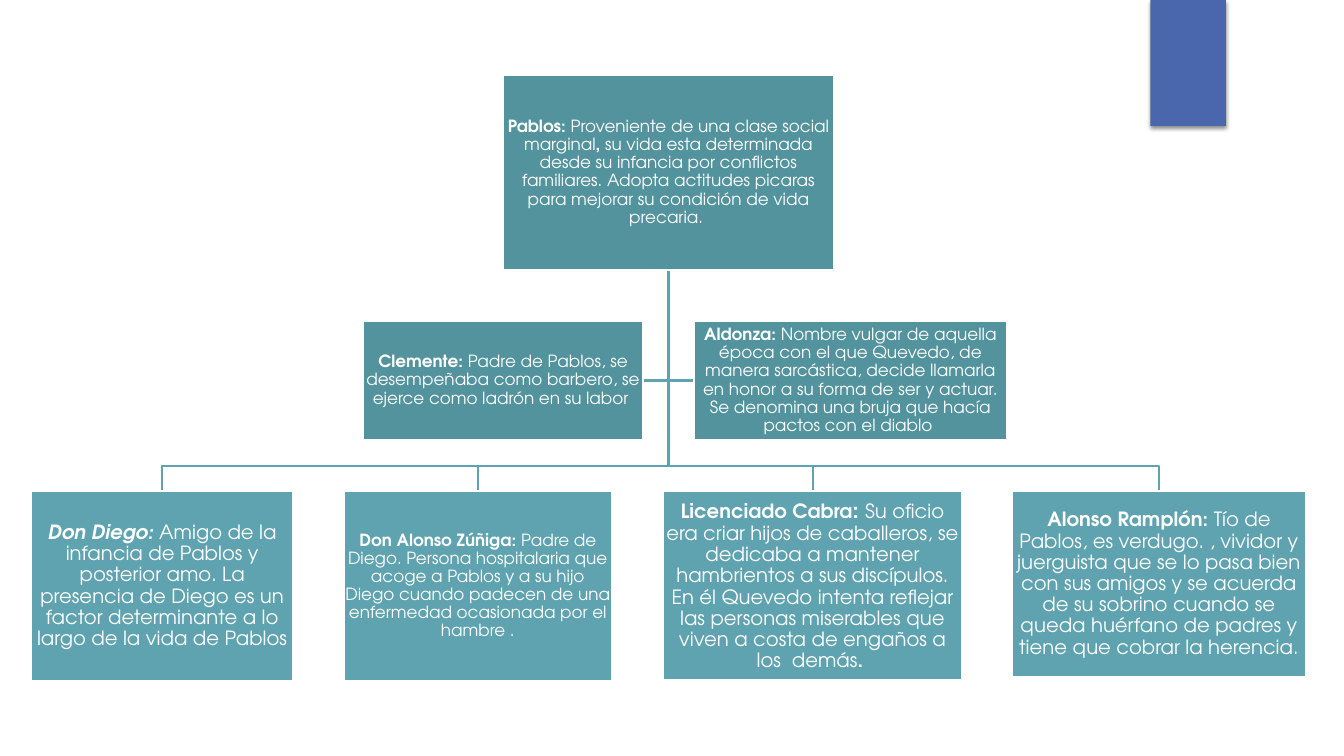
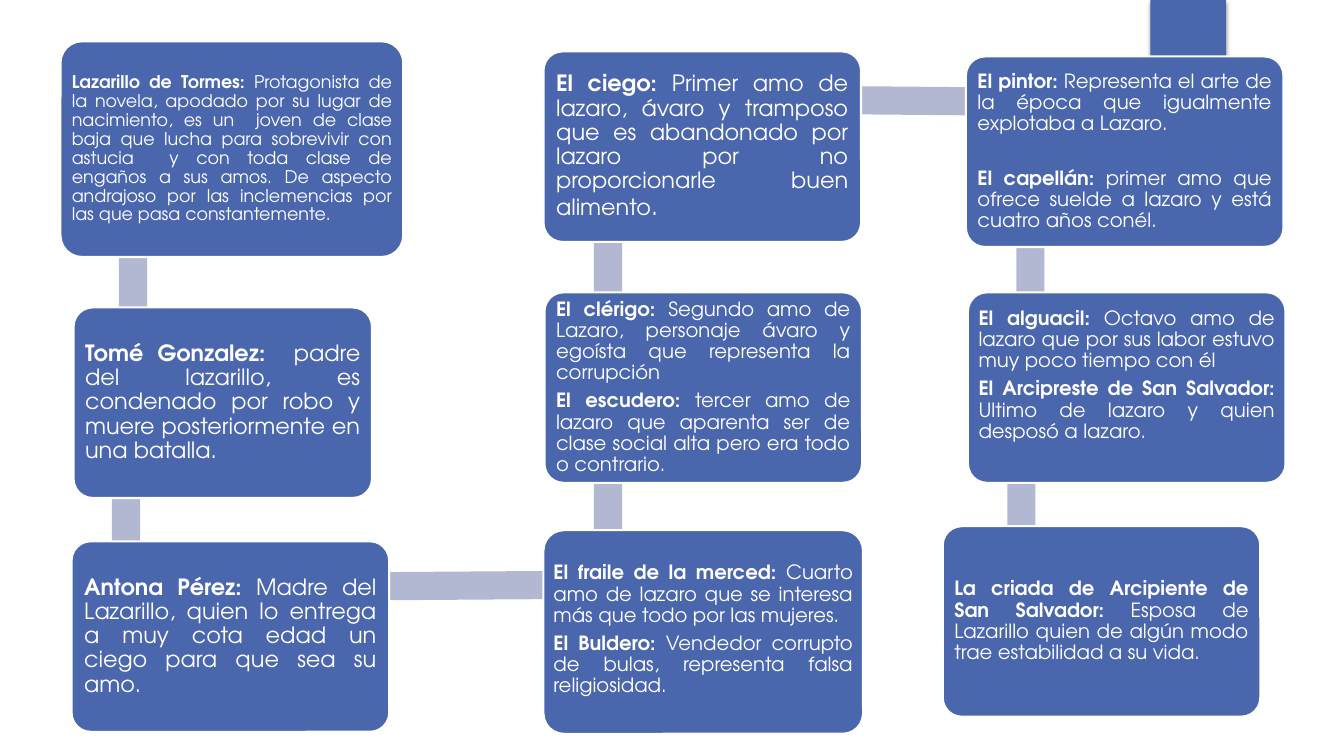
from pptx import Presentation
from pptx.dml.color import RGBColor
from pptx.enum.shapes import MSO_SHAPE
from pptx.enum.text import MSO_ANCHOR, PP_ALIGN
from pptx.oxml import parse_xml
from pptx.oxml.ns import nsdecls, qn
from pptx.util import Inches, Pt

COLORS = {
    "band": "4A66AC",
    "parent": "52939E",
    "child": "5EA3AF",
    "link": "B2B8D2",
    "white": "FFFFFF",
}
FONT = "TeX Gyre Adventor"
BAND = (11.41, 0, 0.75, 1.25)
BUS_Y = 4.62
LINK_WIDTH = 0.28

# Runs alternate between bold and regular, starting with bold.
# A run given as a pair carries its own format values.
TREE = {
    "Pablos": ((4.99, 0.74, 3.28, 1.94), "parent", 12, [
        "Pablos: ", "Proveniente de una clase social marginal", ", ",
        "su vida esta determinada desde su infancia por conflictos familiares. "
        "Adopta actitudes picaras para mejorar su condición de vida precaria. "]),
    "Clemente": ((3.6, 3.18, 2.78, 1.19), "parent", 12, [
        "Clemente: ", "Padre de Pablos, se desempeñaba como barbero, "
        "se ejerce como ladrón en su labor "]),
    "Aldonza": ((6.88, 3.18, 3.11, 1.19), "parent", 12, [
        "Aldonza: ", "Nombre vulgar de aquella época con el que Quevedo, de manera "
        "sarcástica, decide llamarla en honor a su forma de ser y actuar. "
        "Se denomina una bruja que hacía pactos con el diablo "]),
    "Don Diego": ((0.31, 4.87, 2.6, 1.89), "child", 14, [
        ("Don Diego: ", {"italic": True}),
        "Amigo de la infancia de Pablos y posterior amo. La presencia de Diego "
        "es un factor determinante a lo largo de la vida de Pablos"]),
    "Don Alonso": ((3.41, 4.87, 2.66, 1.89), "child", 12, [
        "Don Alonso Zúñiga: ", "Padre de Diego. Persona hospitalaria que acoge a "
        "Pablos y a su hijo Diego cuando padecen de una enfermedad ocasionada "
        "por el hambre ."]),
    "Cabra": ((6.58, 4.87, 2.96, 1.88), "child", 14, [
        "Licenciado Cabra", (": ", {"bold": True, "size": Pt(16)}),
        ("Su oficio era criar hijos de caballeros, se dedicaba a mantener "
         "hambrientos a sus discípulos. En él Quevedo intenta reflejar las "
         "personas miserables que viven a costa de engaños a los  demás",
         {"bold": False}),
        (". ", {"bold": True})]),
    "Ramplón": ((10.04, 4.87, 2.91, 1.85), "child", 14, [
        "Alonso Ramplón: ", "Tío de Pablos, es verdugo. , vividor y juerguista que "
        "se lo pasa bien con sus amigos y se acuerda de su sobrino cuando se "
        "queda huérfano de padres y tiene que cobrar la herencia."]),
}

# Each card: box, text size, inset, paragraphs and optional spacing.
CARDS = {
    "Lazarillo": ((0.6, 0.41, 3.4, 2.14), 12.5, 0.05, [
        ["Lazarillo de Tormes: ", "Protagonista de la novela, apodado por su lugar "
         "de nacimiento, es un  joven de clase baja que lucha para sobrevivir con "
         "astucia  y con toda clase de engaños a sus amos. De aspecto andrajoso "
         "por las inclemencias por las que pasa constantemente."]], {}),
    "Tomé": ((0.73, 3.05, 2.96, 1.89), 16, 0.06, [
        ["Tomé Gonzalez: ", " padre del lazarillo, es condenado por robo y muere "
         "posteriormente en una batalla."]], {}),
    "Antona": ((0.71, 5.37, 3.15, 1.89), 16, 0.07, [
        ["Antona Pérez: ", "Madre del Lazarillo, quien lo entrega a muy cota edad "
         "un ciego para que sea su amo."]], {}),
    "Fraile": ((5.39, 5.26, 3.17, 2.02), 14, 0.04, [
        ["El fraile de la merced: ", "Cuarto amo de lazaro que se interesa más que "
         "todo por las mujeres."],
        ["El Buldero: ", "Vendedor corrupto de bulas, representa falsa "
         "religiosidad."]], {"extra_bottom": 0.04}),
    "Clérigo": ((5.4, 2.9, 3.15, 1.89), 14, 0.06, [
        ["El clérigo: ", "Segundo amo de Lazaro, personaje ávaro y egoísta que "
         "representa la corrupción"],
        ["El escudero: ", "tercer amo de lazaro que aparenta ser de clase social "
         "alta pero era todo o contrario."]], {}),
    "Ciego": ((5.39, 0.51, 3.15, 1.89), 16, 0.07, [
        ["El ciego: ", "Primer amo de lazaro, ávaro y tramposo que es abandonado "
         "por lazaro por no proporcionarle buen alimento",
         (". ", {"bold": False, "size": Pt(18)})]], {}),
    "Pintor": ((9.58, 0.56, 3.15, 1.89), 14, 0.06, [
        ["El pintor: ", "Representa el arte de la época que igualmente explotaba "
         "a Lazaro."],
        ["El capellán: ", "primer amo que ofrece suelde a lazaro y está cuatro "
         "años conél."]], {"gap": 24}),
    "Alguacil": ((9.6, 2.9, 3.15, 1.89), 14, 0.05, [
        ["El alguacil:", " Octavo amo de lazaro que por sus labor estuvo muy poco "
         "tiempo con él"],
        ["El Arcipreste de San Salvador: ", "Ultimo de lazaro y quien desposó a "
         "lazaro."]], {"extra_bottom": 0.24}),
    "Criada": ((9.35, 5.22, 3.15, 1.89), 14, 0.06, [
        ["La criada de Arcipiente de San Salvador: ", "Esposa de Lazarillo quien "
         "de algún modo trae estabilidad a su vida."]], {}),
}

# Left edge of each upright link; top edge and tilt of each level link.
UPRIGHT_LINKS = [
    ("Lazarillo", "Tomé", 1.18), ("Tomé", "Antona", 1.11),
    ("Clérigo", "Fraile", 5.89), ("Ciego", "Clérigo", 5.89),
    ("Pintor", "Alguacil", 10.08), ("Alguacil", "Criada", 9.99),
]
LEVEL_LINKS = [("Antona", "Fraile", 5.67, -0.4), ("Ciego", "Pintor", 0.86, 0.5)]


def color(name):
    return RGBColor.from_string(COLORS[name])


def add_box(slide, preset, box, fill, outlined=False):
    shape = slide.shapes.add_shape(preset, *(Inches(value) for value in box))
    shape.shadow.inherit = False
    shape.fill.solid()
    shape.fill.fore_color.rgb = color(fill)
    if outlined:
        shape.line.color.rgb = color("white")
        shape.line.width = Pt(1.5)
    else:
        shape.line.fill.background()
    return shape


def add_band(slide):
    band = add_box(slide, MSO_SHAPE.RECTANGLE, BAND, "band")
    effects = band._element.spPr.find(qn("a:effectLst"))
    effects.append(parse_xml(
        f'<a:outerShdw {nsdecls("a")} blurRad="38100" dist="25400" dir="5400000">'
        '<a:srgbClr val="000000"><a:alpha val="45000"/></a:srgbClr></a:outerShdw>'))


def write_text(shape, paragraphs, size, align, inset, gap=None, extra_bottom=0):
    """Fill the shape; gap is the space in points between paragraphs."""
    frame = shape.text_frame
    frame.word_wrap = True
    frame.vertical_anchor = MSO_ANCHOR.MIDDLE
    for side in ("left", "top", "right", "bottom"):
        setattr(frame, f"margin_{side}", Inches(inset))
    frame.margin_bottom = Inches(inset + extra_bottom)
    for number, runs in enumerate(paragraphs):
        paragraph = frame.add_paragraph() if number else frame.paragraphs[0]
        last = number == len(paragraphs) - 1
        space = gap if gap and not last else 0.35 * size
        layout = {"alignment": align, "line_spacing": 0.9, "space_after": Pt(space)}
        for name, value in layout.items():
            setattr(paragraph, name, value)
        for index, item in enumerate(runs):
            text, changes = (item, {}) if isinstance(item, str) else item
            run = paragraph.add_run()
            run.text = text
            values = {"name": FONT, "size": Pt(size), "bold": index % 2 == 0, **changes}
            for name, value in values.items():
                setattr(run.font, name, value)
            run.font.color.rgb = color("white")


def add_branch(slide, points):
    """Draw one open bent line through the points."""
    start, *others = [(Inches(x), Inches(y)) for x, y in points]
    builder = slide.shapes.build_freeform(*start)
    builder.add_line_segments(others, close=False)
    branch = builder.convert_to_shape()
    branch.shadow.inherit = False
    branch.fill.background()
    branch.line.color.rgb = color("child")
    branch.line.width = Pt(1.5)


def center(box):
    left, top, width, height = box
    return left + width / 2, top + height / 2


def build_family_tree(slide):
    root_box = TREE["Pablos"][0]
    trunk_x = center(root_box)[0]
    trunk_top = (trunk_x, root_box[1] + root_box[3])
    for name, (box, fill, *_) in TREE.items():
        x, y = center(box)
        if fill == "child":
            add_branch(slide, [trunk_top, (trunk_x, BUS_Y), (x, BUS_Y), (x, box[1])])
        elif name != "Pablos":
            edge = box[0] if x > trunk_x else box[0] + box[2]
            add_branch(slide, [trunk_top, (trunk_x, y), (edge, y)])
    for box, fill, size, runs in TREE.values():
        shape = add_box(slide, MSO_SHAPE.RECTANGLE, box, fill, outlined=True)
        write_text(shape, [runs], size, PP_ALIGN.CENTER, 0.01)


def build_card_chain(slide):
    """Links run between card centres, so the cards drawn later hide their ends."""
    for first, second, left in UPRIGHT_LINKS:
        top, bottom = (center(CARDS[name][0])[1] for name in (first, second))
        add_box(slide, MSO_SHAPE.RECTANGLE, (left, top, LINK_WIDTH, bottom - top), "link")
    for first, second, top, tilt in LEVEL_LINKS:
        left, right = (center(CARDS[name][0])[0] for name in (first, second))
        link = add_box(slide, MSO_SHAPE.RECTANGLE,
                       (left, top, right - left, LINK_WIDTH), "link")
        link.rotation = tilt
    for box, size, inset, paragraphs, spacing in CARDS.values():
        card = add_box(slide, MSO_SHAPE.ROUNDED_RECTANGLE, box, "band", outlined=True)
        card.adjustments[0] = 0.1
        write_text(card, paragraphs, size, PP_ALIGN.JUSTIFY, inset, **spacing)


def main():
    presentation = Presentation()
    presentation.slide_width = Inches(13.33)
    presentation.slide_height = Inches(7.5)
    for build in (build_family_tree, build_card_chain):
        slide = presentation.slides.add_slide(presentation.slide_layouts[6])
        add_band(slide)
        build(slide)
    presentation.save("out.pptx")


if __name__ == "__main__":
    main()
